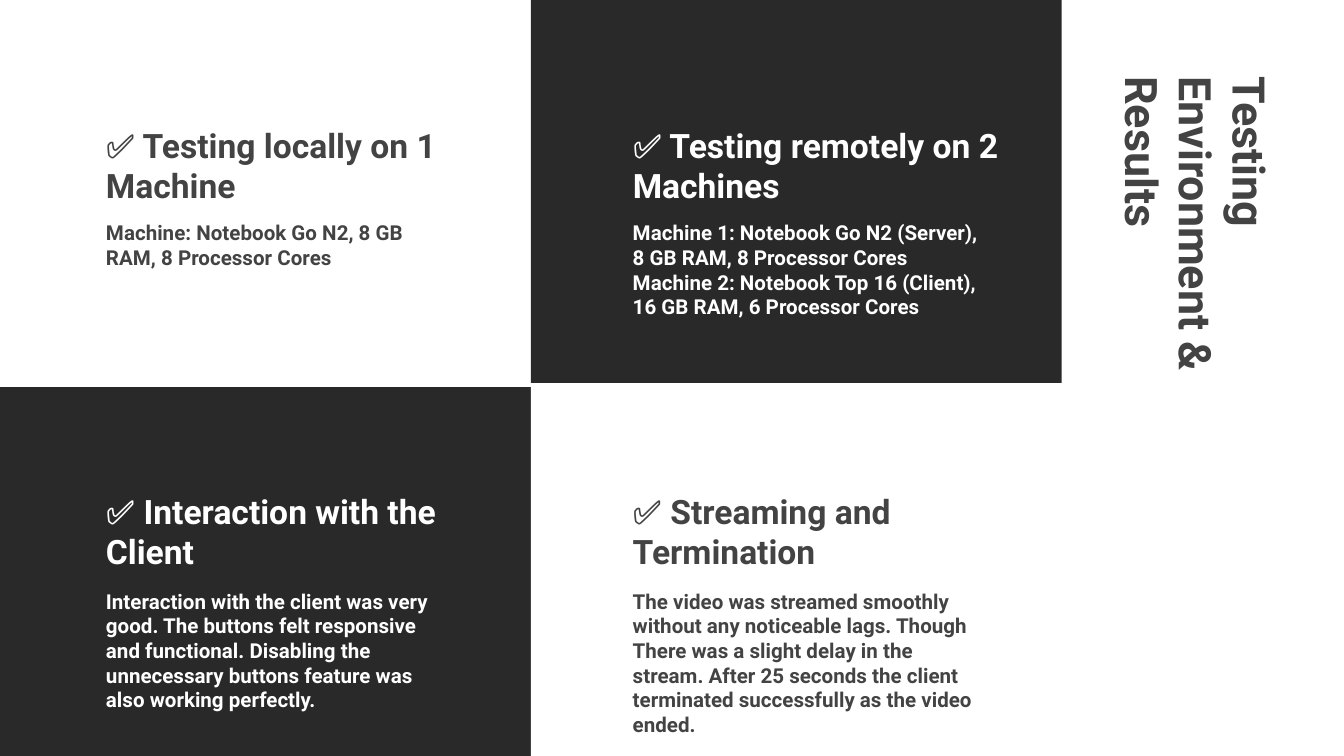
from lxml import etree
from pptx import Presentation
from pptx.dml.color import RGBColor
from pptx.enum.shapes import MSO_SHAPE
from pptx.enum.text import MSO_ANCHOR, PP_ALIGN
from pptx.oxml.ns import qn
from pptx.util import Inches, Pt

COLORS = {"black": "000000", "white": "FFFFFF", "gray": "434343"}
FONT = "Roboto"
SLIDE_TITLE = "Testing Environment & Results"

PANELS = [
    (3.95, -0.03, 2.88, "black", 84),
    (0, 2.88, 2.75, "black", 84),
    (3.95, 2.88, 2.75, "white", 100),
]
PANEL_WIDTH = 3.95

COLUMN_LEFTS = [0.69, 4.61]
HEADING_TOPS = [0.92, 3.64]
HEADING_HEIGHT = 0.71
BODY_TOPS = [1.54, 4.28]
BODY_WIDTHS = [2.71, 2.83]

RESULTS = [
    {
        "column": 0, "row": 0, "color": "gray", "heading_width": 3.14, "body_height": 0.59,
        "heading": "✅ Testing locally on 1 Machine",
        "body": ["Machine: Notebook Go N2, 8 GB RAM, 8 Processor Cores"],
    },
    {
        "column": 1, "row": 0, "color": "white", "heading_width": 2.95, "body_height": 0.82,
        "heading": "✅ Testing remotely on 2 Machines",
        "body": [
            "Machine 1: Notebook Go N2 (Server), 8 GB RAM, 8 Processor Cores",
            "Machine 2: Notebook Top 16 (Client), 16 GB RAM, 6 Processor Cores",
        ],
    },
    {
        "column": 0, "row": 1, "color": "white", "heading_width": 3.14, "body_height": 1.03,
        "heading": "✅ Interaction with the Client",
        "body": [
            "Interaction with the client was very good. The buttons felt responsive "
            "and functional. Disabling the unnecessary buttons feature was also "
            "working perfectly."
        ],
    },
    {
        "column": 1, "row": 1, "color": "gray", "heading_width": 2.83, "body_height": 1.09,
        "heading": "✅ Streaming and Termination",
        "body": [
            "The video was streamed smoothly without any noticeable lags. Though "
            "There was a slight delay in the stream. After 25 seconds the client "
            "terminated successfully as the video ended."
        ],
    },
]


def rgb(name):
    return RGBColor.from_string(COLORS[name])


def add_panel(slide, left, top, height, color, opacity):
    panel = slide.shapes.add_shape(
        MSO_SHAPE.RECTANGLE, Inches(left), Inches(top), Inches(PANEL_WIDTH), Inches(height)
    )
    panel.shadow.inherit = False
    panel.line.fill.background()
    panel.fill.solid()
    panel.fill.fore_color.rgb = rgb(color)
    if opacity < 100:
        color_element = panel.element.spPr.find(qn("a:solidFill"))[0]
        etree.SubElement(color_element, qn("a:alpha")).set("val", str(opacity * 1000))


def add_text(slide, box, paragraphs, size, color, anchor):
    text_box = slide.shapes.add_textbox(*[Inches(length) for length in box])
    frame = text_box.text_frame
    frame.word_wrap = True
    frame.vertical_anchor = anchor
    frame.margin_left = frame.margin_right = Inches(0.1)
    frame.margin_top = frame.margin_bottom = Inches(0.1)
    frame.text = "\n".join(paragraphs)
    for paragraph in frame.paragraphs:
        paragraph.alignment = PP_ALIGN.LEFT
        for run in paragraph.runs:
            run.font.name = FONT
            run.font.size = Pt(size)
            run.font.bold = True
            run.font.color.rgb = rgb(color)
    return text_box


def main():
    presentation = Presentation()
    presentation.slide_width = Inches(10)
    presentation.slide_height = presentation.slide_width * 9 // 16
    slide = presentation.slides.add_slide(presentation.slide_layouts[6])

    title = add_text(
        slide, (7.31, 1.8, 3.19, 0.53), [SLIDE_TITLE], 24, "gray", MSO_ANCHOR.MIDDLE
    )
    title.rotation = 90

    for panel in PANELS:
        add_panel(slide, *panel)

    for result in RESULTS:
        column, row, color = result["column"], result["row"], result["color"]
        left = COLUMN_LEFTS[column]
        heading_box = (left, HEADING_TOPS[row], result["heading_width"], HEADING_HEIGHT)
        body_box = (left, BODY_TOPS[row], BODY_WIDTHS[column], result["body_height"])
        add_text(slide, heading_box, [result["heading"]], 18, color, MSO_ANCHOR.BOTTOM)
        add_text(slide, body_box, result["body"], 11, color, MSO_ANCHOR.TOP)

    presentation.save("out.pptx")


if __name__ == "__main__":
    main()
